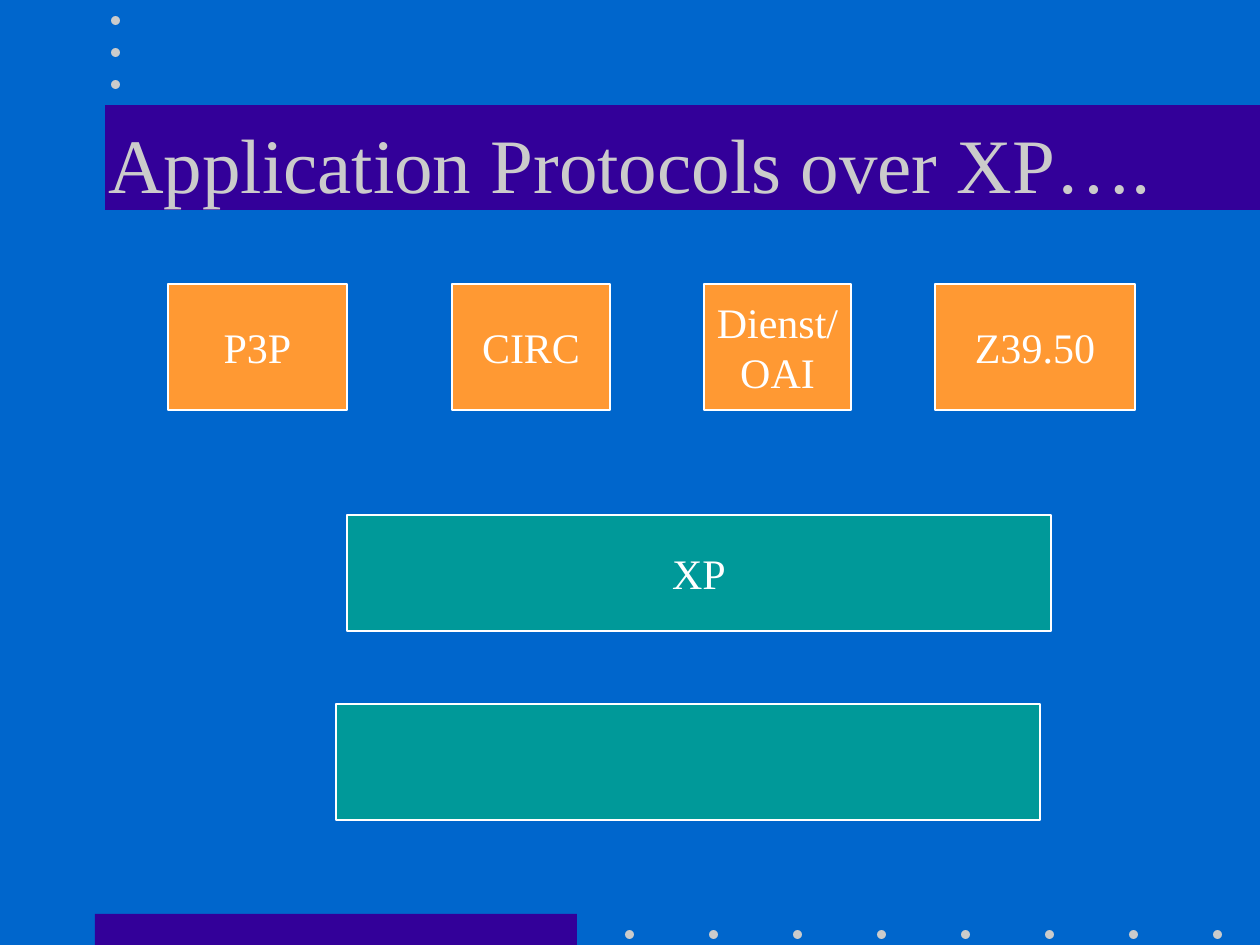
from pptx import Presentation
from pptx.dml.color import RGBColor
from pptx.enum.shapes import MSO_SHAPE
from pptx.enum.text import MSO_ANCHOR, MSO_AUTO_SIZE, PP_ALIGN
from pptx.util import Emu, Pt

RECT = MSO_SHAPE.RECTANGLE
OVAL = MSO_SHAPE.OVAL
MIDDLE = MSO_ANCHOR.MIDDLE
FIXED = MSO_AUTO_SIZE.NONE
CENTER = PP_ALIGN.CENTER

BLUE = RGBColor(0x00, 0x66, 0xCC)
PURPLE = RGBColor(0x33, 0x00, 0x99)
GRAY = RGBColor(0xCB, 0xCB, 0xCB)
TEAL = RGBColor(0x00, 0x99, 0x99)
ORANGE = RGBColor(0xFF, 0x99, 0x33)
WHITE = RGBColor(0xFF, 0xFF, 0xFF)

SCALE = 914400 / 126
FACE = "Times New Roman"
HEAD = {"name": FACE, "size": Pt(44), "bold": False}
LABEL = {"name": FACE, "size": Pt(24), "bold": False}
DOT = 9


def px(num):
    return Emu(round(num * SCALE))


def write(shape, text, style, color, wrap):
    frame = shape.text_frame
    frame.text = text
    frame.auto_size = FIXED
    frame.word_wrap = wrap
    frame.vertical_anchor = MIDDLE
    for para in frame.paragraphs:
        para.alignment = CENTER
        for key, value in style.items():
            setattr(para.font, key, value)
        para.font.color.rgb = color


def add_fill(slide, kind, area, color):
    shape = slide.shapes.add_shape(kind, *map(px, area))
    shape.shadow.inherit = False
    shape.fill.solid()
    shape.fill.fore_color.rgb = color
    shape.line.fill.background()
    return shape


def add_dots(slide, left, top, count, right=0, down=0):
    for i in range(count):
        spot = (left + i * right, top + i * down, DOT, DOT)
        add_fill(slide, OVAL, spot, GRAY)


def add_box(slide, area, color, text=""):
    box = add_fill(slide, RECT, area, color)
    box.line.color.rgb = WHITE
    box.line.width = Pt(1)
    if text:
        write(box, text, LABEL, WHITE, False)


def add_title(slide, text):
    title = slide.shapes.title
    title.left, title.top, title.width, title.height = map(px, (95, 84, 1071, 158))
    write(title, text, HEAD, GRAY, True)
    slide.shapes._spTree.append(title._element)


def main():
    deck = Presentation()
    deck.slide_width, deck.slide_height = px(1260), px(945)
    slide = deck.slides.add_slide(deck.slide_layouts[5])
    slide.background.fill.solid()
    slide.background.fill.fore_color.rgb = BLUE

    add_fill(slide, RECT, (95, 914, 482, 31), PURPLE)
    add_dots(slide, 625, 930, 8, right=84)
    add_fill(slide, RECT, (105, 105, 1155, 105), PURPLE)
    add_dots(slide, 111, 16, 3, down=32)
    add_title(slide, "Application Protocols over XP….")

    for left, top, text in ((347, 515, "XP"), (336, 704, "")):
        add_box(slide, (left, top, 704, 116), TEAL, text)
    apps = (
        (168, 179, "P3P"),
        (452, 158, "CIRC"),
        (704, 147, "Dienst/\nOAI"),
        (935, 200, "Z39.50"),
    )
    for left, width, text in apps:
        add_box(slide, (left, 284, width, 126), ORANGE, text)

    deck.save("out.pptx")


if __name__ == "__main__":
    main()
